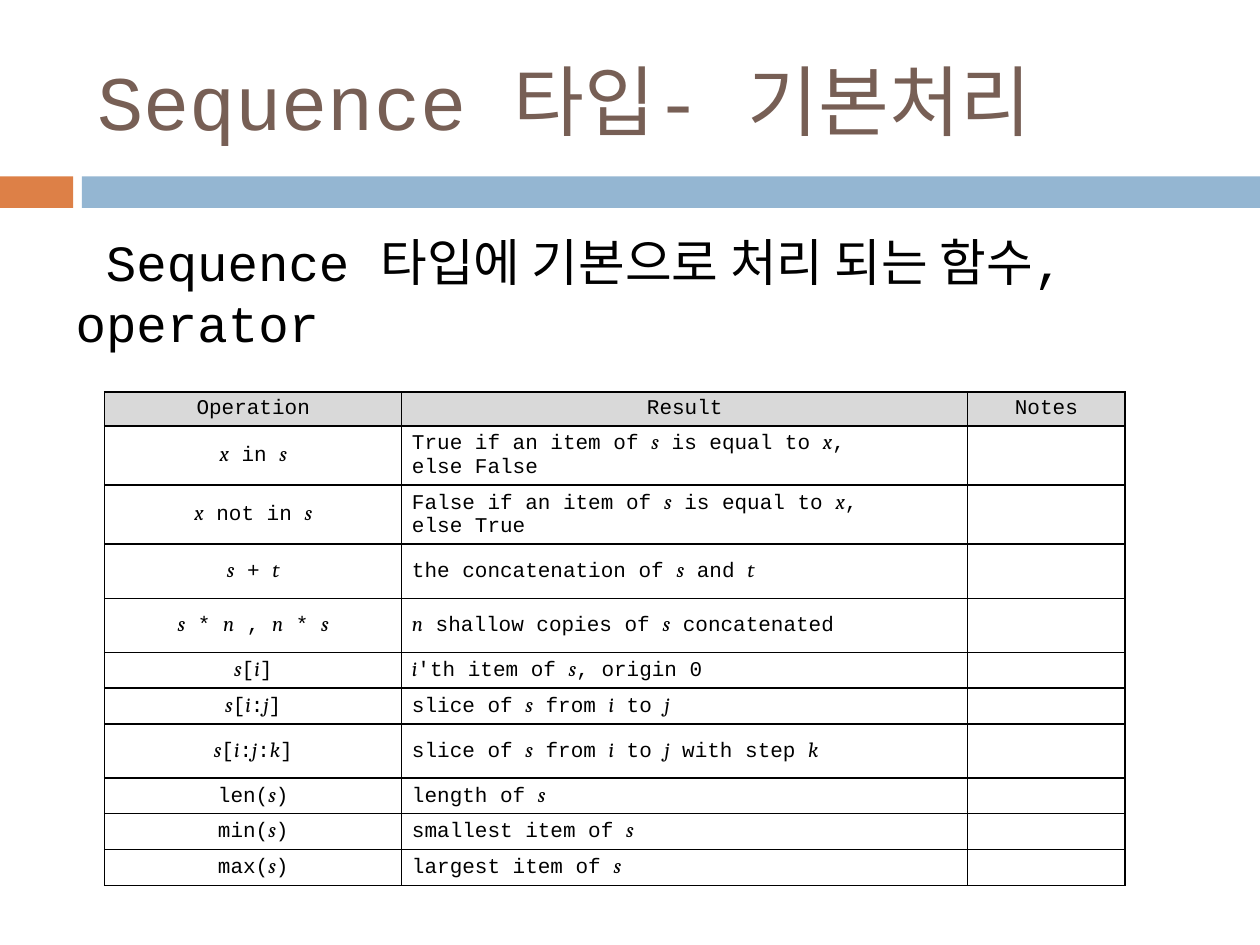
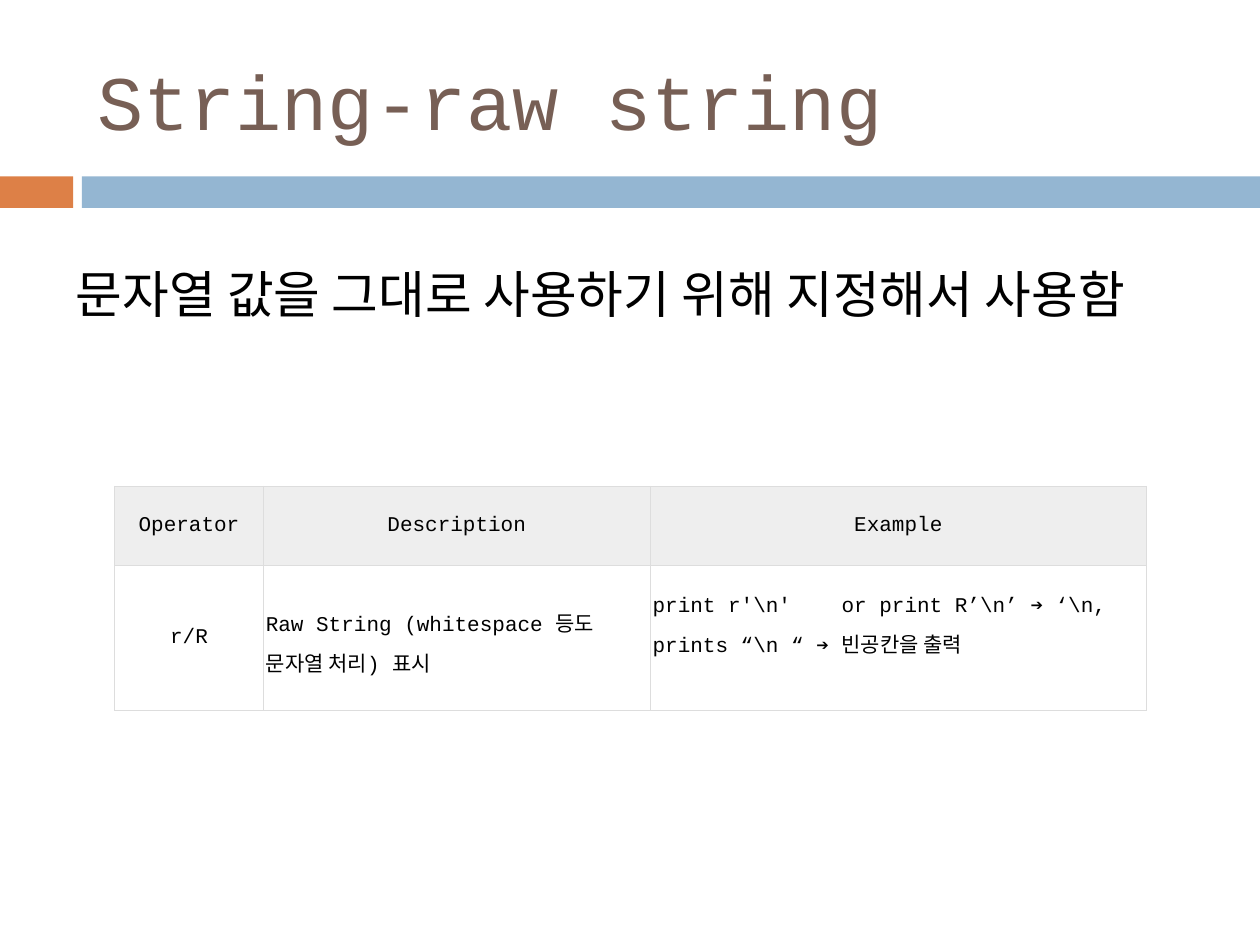
from lxml import etree
from pptx import Presentation
from pptx.dml.color import RGBColor
from pptx.enum.shapes import MSO_SHAPE
from pptx.enum.text import MSO_ANCHOR, MSO_AUTO_SIZE, PP_ALIGN
from pptx.oxml.ns import qn
from pptx.util import Inches, Pt

RECT = MSO_SHAPE.RECTANGLE
TOP, MIDDLE = MSO_ANCHOR.TOP, MSO_ANCHOR.MIDDLE
LEFT, CENTER = PP_ALIGN.LEFT, PP_ALIGN.CENTER

COLORS = {"title": "775F55", "text": "000000", "accent": "DD8047", "band": "94B6D2",
          "grey": "D9D9D9", "pale": "EEEEEE", "rule": "DDDDDD"}
CODE_FONT, VARIABLE_FONT = "Courier New", "Cambria"
TITLE_BOX = (0.67, 0.25, 8.92, 1.08)
BANDS = [("accent", 0, 0.58), ("band", 0.65, 9.35)]
BAND_TOP, BAND_HEIGHT = 1.4, 0.25
TALL, MEDIUM, SHORT = 0.47, 0.43, 0.28

# In table text, _x_ marks a variable and ~ a non-breaking space.
SLIDES = [
    {
        "title": "Sequence 타입- 기본처리",
        "body": "Sequence 타입에 기본으로 처리 되는 함수, operator",
        "body_box": (0.5, 1.78, 9, 1.3),
        "body_format": {"indent": 0.24},
        "table": {
            "at": (0.83, 3.11),
            "cols": [2.36, 4.49, 1.25],
            "rows": [0.27, TALL, TALL, MEDIUM, MEDIUM, SHORT, SHORT, MEDIUM,
                     SHORT, SHORT, SHORT],
            "inset": (0.08, 0.04),
            "header": "grey",
            "line": "text",
            "outer": 1, "across": 1, "down": 0.6, "last": 0.6,
            "cells": [
                ("Operation", "Result", "Notes"),
                ("_x_~in~_s_", "True~if an item of~_s_~is equal to~_x_, else~False", ""),
                ("_x_~not in~_s_", "False~if an item of~_s_~is equal to~_x_, else~True", ""),
                ("_s_~+~_t_", "the concatenation of~_s_~and~_t_", ""),
                ("_s_~*~_n_~,~_n_~*~_s_", "_n_~shallow copies of~_s_~concatenated", ""),
                ("_s_[_i_]", "_i_'th item of~_s_, origin 0", ""),
                ("_s_[_i_:_j_]", "slice of~_s_~from~_i_~to~_j_", ""),
                ("_s_[_i_:_j_:_k_]", "slice of~_s_~from~_i_~to~_j_~with step~_k_", ""),
                ("len(_s_)", "length of~_s_", ""),
                ("min(_s_)", "smallest item of~_s_", ""),
                ("max(_s_)", "largest item of~_s_", ""),
            ],
        },
    },
    {
        "title": "String-raw string",
        "body": "문자열 값을 그대로 사용하기 위해 지정해서 사용함",
        "body_box": (0.5, 1.94, 9, 1.65),
        "body_format": {"spacing": 1.2},
        "table": {
            "at": (0.91, 3.86),
            "cols": [1.18, 3.07, 3.94],
            "rows": [0.63, 1.15],
            "inset": (0.02, 0.02),
            "header": "pale",
            "line": "rule",
            "outer": 0.6, "across": 0.6, "down": 0.6, "last": 0.6,
            "spacing": 1.3,
            "tab": 1.3,
            "raised": (1, 2),
            "cells": [
                ("Operator", "Description", "Example"),
                ("r/R", "Raw String (whitespace 등도 문자열 처리) 표시",
                 "print r'\\n'\tor print R’\\n’ ➔ ‘\\n,\nprints “\\n “ ➔ 빈공칸을 출력"),
            ],
        },
    },
]


def rgb(name):
    return RGBColor.from_string(COLORS[name])


def write(tf, text, size=12, color="text", align=LEFT, spacing=1.0, indent=0, tab=None,
          marked=False):
    """Fill a text frame, one paragraph a line, without bullets."""
    for i, line in enumerate(text.split("\n")):
        p = tf.paragraphs[0] if i == 0 else tf.add_paragraph()
        p.alignment, p.line_spacing, p.space_before = align, spacing, Pt(0)
        pPr = p._p.get_or_add_pPr()
        pPr.set("marL", "0")
        pPr.set("indent", str(Inches(indent)))
        etree.SubElement(pPr, qn("a:buNone"))
        if tab and "\t" in line:
            tabs = etree.SubElement(pPr, qn("a:tabLst"))
            etree.SubElement(tabs, qn("a:tab"), pos=str(Inches(tab)), algn="l")
        pieces = line.replace("~", chr(160)).split("_") if marked else [line]
        for n, piece in enumerate(pieces):
            if not piece:
                continue
            r = p.add_run()
            r.text = piece
            variable = n % 2 == 1
            font = r.font
            font.name = VARIABLE_FONT if variable else CODE_FONT
            font.size, font.bold, font.italic = Pt(size), False, variable
            font.color.rgb = rgb(color)
        if not line:
            etree.SubElement(p._p, qn("a:endParaRPr"), sz=str(size * 100))


def fill_placeholder(sp, box, text, anchor, **fmt):
    sp.left, sp.top, sp.width, sp.height = map(Inches, box)
    tf = sp.text_frame
    tf.word_wrap, tf.auto_size, tf.vertical_anchor = True, MSO_AUTO_SIZE.NONE, anchor
    write(tf, text, **fmt)


def set_borders(cell, color, widths):
    tcPr = cell._tc.get_or_add_tcPr()
    for i, (side, width) in enumerate(widths.items()):
        ln = etree.Element(qn("a:ln" + side), w=str(Pt(width)))
        fill = etree.SubElement(ln, qn("a:solidFill"))
        etree.SubElement(fill, qn("a:srgbClr"), val=COLORS[color])
        tcPr.insert(i, ln)


def add_grid(slide, grid):
    cols, rows = grid["cols"], grid["rows"]
    box = (*grid["at"], sum(cols), sum(rows))
    table = slide.shapes.add_table(len(rows), len(cols), *map(Inches, box)).table
    table.first_row = table.horz_banding = False
    for column, width in zip(table.columns, cols):
        column.width = Inches(width)
    for row, height in zip(table.rows, rows):
        row.height = Inches(height)

    across, down, outer = grid["across"], grid["down"], grid["outer"]
    for y, texts in enumerate(grid["cells"]):
        for x, text in enumerate(texts):
            cell = table.cell(y, x)
            cell.vertical_anchor = MIDDLE
            side, end = map(Inches, grid["inset"])
            cell.margin_left = cell.margin_right = side
            cell.margin_top = cell.margin_bottom = end
            if (y, x) == grid.get("raised"):
                cell.margin_bottom = Inches(0.26)
            if y == 0:
                cell.fill.solid()
                cell.fill.fore_color.rgb = rgb(grid["header"])
            else:
                cell.fill.background()
            set_borders(cell, grid["line"], {
                "L": outer if x == 0 else down,
                "R": outer if x == len(cols) - 1 else down,
                "T": across,
                "B": grid["last"] if y == len(rows) - 1 else across})
            label = y == 0 or x == 0
            write(cell.text_frame, text, align=CENTER if label else LEFT,
                  spacing=1.0 if label else grid.get("spacing", 1.0),
                  tab=grid.get("tab"), marked=True)


def add_layout_bands(layout, slide):
    """Draw the bands on a slide, then move them behind everything on its layout."""
    for i, (color, left, width) in enumerate(BANDS):
        box = (left, BAND_TOP, width, BAND_HEIGHT)
        s = slide.shapes.add_shape(RECT, *map(Inches, box))
        s.shadow.inherit = False
        s.fill.solid()
        s.fill.fore_color.rgb = rgb(color)
        s.line.fill.background()
        s.element.nvSpPr.cNvPr.set("id", str(20 + i))
        layout.shapes.element.insert(2 + i, s.element)


def main():
    prs = Presentation()
    prs.slide_width, prs.slide_height = Inches(10), Inches(7.5)
    layout = prs.slide_layouts[1]
    for i, content in enumerate(SLIDES):
        slide = prs.slides.add_slide(layout)
        if i == 0:
            add_layout_bands(layout, slide)
        title, body = slide.placeholders
        fill_placeholder(title, TITLE_BOX, content["title"], MIDDLE, size=44, color="title")
        fill_placeholder(body, content["body_box"], content["body"], TOP, size=29,
                         **content["body_format"])
        add_grid(slide, content["table"])
    prs.save("out.pptx")


if __name__ == "__main__":
    main()
